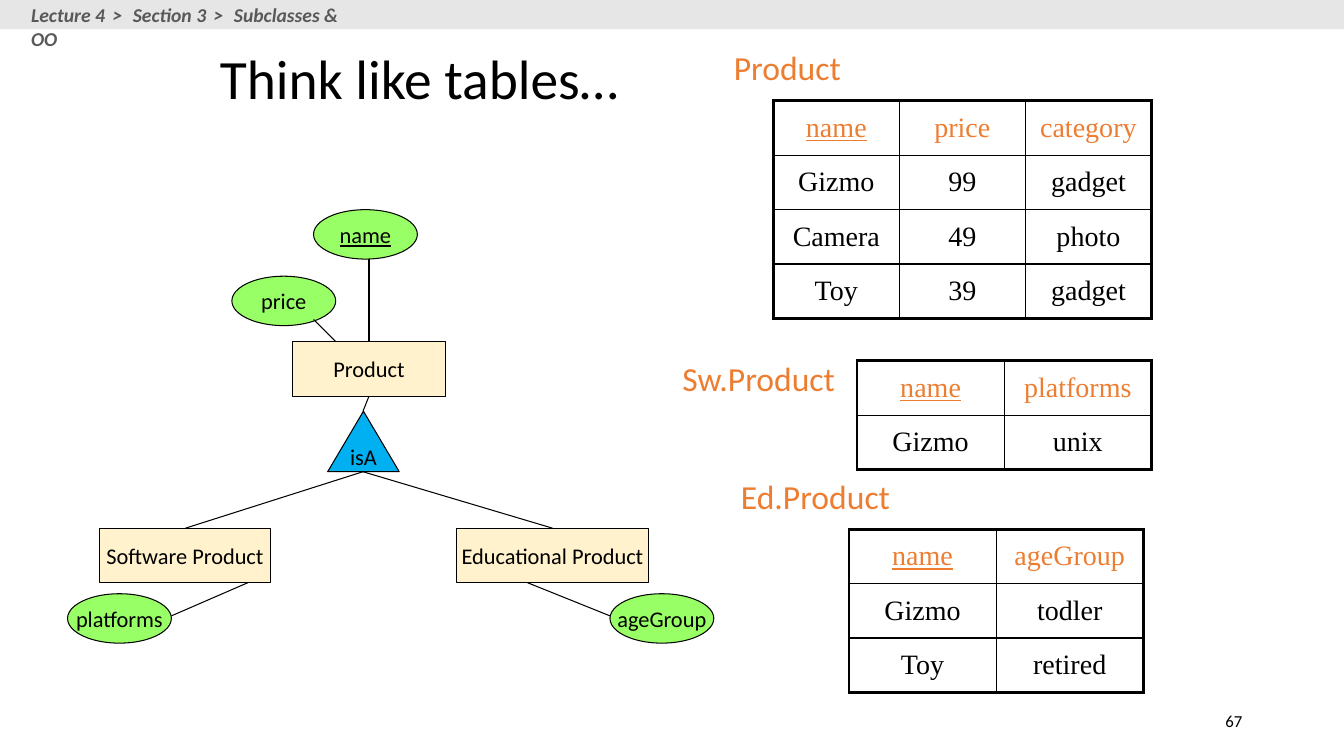
"""Builds a slide that maps a product class hierarchy to tables."""
from dataclasses import dataclass

from lxml.etree import SubElement
from pptx import Presentation
from pptx.dml.color import RGBColor
from pptx.enum.shapes import MSO_CONNECTOR, MSO_SHAPE
from pptx.enum.text import MSO_ANCHOR, MSO_AUTO_SIZE, PP_ALIGN
from pptx.oxml.ns import qn
from pptx.util import Inches, Pt


@dataclass(frozen=True)
class Theme:
    sans: str = "Calibri"
    serif: str = "Times New Roman"
    black: str = "000000"
    accent: str = "ED7D31"
    entity: str = "FFF2CC"
    attribute: str = "99FF66"
    relation: str = "00B0F0"
    strip: str = "E7E6E6"
    muted: str = "595959"
    title_size: float = 39.6
    label_size: float = 24
    cell_size: float = 20
    node_size: float = 16
    path_size: float = 14
    number_size: float = 12
    thin: float = 0.75
    inner: float = 1
    outer: float = 2.25
    separator_spacing: int = 210


class SlideBuilder:
    def __init__(self, presentation, theme):
        self.theme = theme
        self.slide = presentation.slides.add_slide(presentation.slide_layouts[5])
        self.shapes = self.slide.shapes

    def format(self, paragraph, size, color=None, name=None, align=PP_ALIGN.LEFT, underline=False):
        paragraph.alignment = align
        font = paragraph.font
        font.name = name or self.theme.sans
        font.size = Pt(size)
        font.color.rgb = RGBColor.from_string(color or self.theme.black)
        font.underline = underline

    def title(self, text, box):
        title = self.shapes.title
        title.left, title.top, title.width, title.height = map(Inches, box)
        frame = title.text_frame
        frame.text = text
        frame.auto_size = MSO_AUTO_SIZE.NONE
        frame.vertical_anchor = MSO_ANCHOR.MIDDLE
        frame.margin_top = Inches(0.25)
        paragraph = frame.paragraphs[0]
        paragraph.line_spacing = 0.9
        self.format(paragraph, self.theme.title_size)

    def text(self, text, box, size, color=None, align=PP_ALIGN.LEFT, wrap=False, anchor=MSO_ANCHOR.TOP):
        frame = self.shapes.add_textbox(*map(Inches, box)).text_frame
        frame.word_wrap = wrap
        frame.vertical_anchor = anchor
        paragraph = frame.paragraphs[0]
        paragraph.text = text
        self.format(paragraph, size, color, align=align)
        return paragraph

    def breadcrumb(self, steps, box):
        paragraph = self.text("", box, self.theme.path_size, self.theme.muted, wrap=True)
        paragraph.font.bold = paragraph.font.italic = True
        for index, step in enumerate(steps):
            if index:
                separator = paragraph.add_run()
                separator.text = " > "
                separator._r.get_or_add_rPr().set("spc", str(self.theme.separator_spacing))
            paragraph.add_run().text = step

    def shape(self, kind, box, fill):
        shape = self.shapes.add_shape(kind, *map(Inches, box))
        shape.shadow.inherit = False
        shape.fill.solid()
        shape.fill.fore_color.rgb = RGBColor.from_string(fill)
        shape.line.fill.background()
        return shape

    def node(self, kind, text, box, fill, underline=False):
        shape = self.shape(kind, box, fill)
        shape.line.color.rgb = RGBColor.from_string(self.theme.black)
        shape.line.width = Pt(self.theme.thin)
        frame = shape.text_frame
        frame.text = text
        frame.word_wrap = False
        frame.vertical_anchor = MSO_ANCHOR.MIDDLE
        self.format(frame.paragraphs[0], self.theme.node_size, align=PP_ALIGN.CENTER, underline=underline)

    def entity(self, text, left, top, width):
        self.node(MSO_SHAPE.RECTANGLE, text, (left, top, width, 0.54), self.theme.entity)

    def attribute(self, text, left, top, key=False):
        self.node(MSO_SHAPE.OVAL, text, (left, top, 1.03, 0.49), self.theme.attribute, key)

    def link(self, start, end):
        connector = self.shapes.add_connector(MSO_CONNECTOR.STRAIGHT, *map(Inches, start + end))
        connector.line.color.rgb = RGBColor.from_string(self.theme.black)
        connector.line.width = Pt(self.theme.thin)
        SubElement(connector._element.spPr, qn("a:effectLst"))

    def border(self, cell, side, width):
        line = SubElement(cell._tc.get_or_add_tcPr(), qn(f"a:ln{side}"), w=str(Pt(width)))
        fill = SubElement(line, qn("a:solidFill"))
        SubElement(fill, qn("a:srgbClr"), val=self.theme.black)

    def table(self, rows, left, top, column_width, row_height=0.54):
        last_row, last_column = len(rows) - 1, len(rows[0]) - 1
        size = (column_width * len(rows[0]), row_height * len(rows))
        table = self.shapes.add_table(len(rows), len(rows[0]), *map(Inches, (left, top) + size)).table
        table.first_row = table.horz_banding = False
        for r, row in enumerate(rows):
            for c, text in enumerate(row):
                cell = table.cell(r, c)
                edges = {"L": c == 0, "R": c == last_column, "T": r == 0, "B": r == last_row}
                for side, is_outer in edges.items():
                    self.border(cell, side, self.theme.outer if is_outer else self.theme.inner)
                cell.fill.background()
                cell.vertical_anchor = MSO_ANCHOR.MIDDLE
                cell.text = text
                color = self.theme.black if r else self.theme.accent
                self.format(cell.text_frame.paragraphs[0], self.theme.cell_size, color,
                            self.theme.serif, PP_ALIGN.CENTER, r == c == 0)


def main():
    presentation = Presentation()
    presentation.slide_width, presentation.slide_height = Inches(13.33), Inches(7.5)
    theme = Theme()
    builder = SlideBuilder(presentation, theme)

    builder.text("67", (9.42, 6.95, 3, 0.4), theme.number_size,
                 align=PP_ALIGN.RIGHT, wrap=True, anchor=MSO_ANCHOR.MIDDLE)
    builder.title("Think like tables…", (2.08, 0.17, 5.25, 1.08))

    builder.entity("Product", 2.9, 3.39, 1.52)
    builder.entity("Educational Product", 4.53, 5.24, 1.9)
    builder.entity("Software Product", 0.99, 5.24, 1.69)
    builder.attribute("name", 3.11, 2.08, key=True)
    builder.attribute("price", 2.3, 2.74)
    builder.attribute("ageGroup", 6.05, 5.89)
    builder.attribute("platforms", 0.67, 5.89)
    builder.node(MSO_SHAPE.ISOSCELES_TRIANGLE, "isA", (3.25, 4.08, 0.71, 0.6), theme.relation)

    for start, end in (
        ((3.33, 3.39), (3.11, 3.17)),
        ((3.66, 3.39), (3.66, 2.57)),
        ((2.46, 5.78), (1.7, 6.11)),
        ((5.23, 5.78), (6.05, 6.11)),
        ((1.84, 5.24), (3.6, 4.68)),
        ((5.48, 5.24), (3.6, 4.68)),
        ((3.6, 4.08), (3.66, 3.93)),
    ):
        builder.link(start, end)

    products = [("name", "price", "category"), ("Gizmo", "99", "gadget"),
                ("Camera", "49", "photo"), ("Toy", "39", "gadget")]
    software = [("name", "platforms"), ("Gizmo", "unix")]
    educational = [("name", "ageGroup"), ("Gizmo", "todler"), ("Toy", "retired")]
    builder.table(products, 7.67, 1, 1.25)
    builder.table(software, 8.5, 3.58, 1.46)
    builder.table(educational, 8.42, 5.25, 1.46)

    for text, left, top, width in (("Product", 7.18, 0.42, 1.27), ("Sw.Product", 6.67, 3.5, 1.75),
                                   ("Ed.Product", 7.25, 4.67, 1.69)):
        builder.text(text, (left, top, width, 0.5), theme.label_size, theme.accent)

    builder.shape(MSO_SHAPE.RECTANGLE, (0, 0, 13.33, 0.29), theme.strip)
    builder.breadcrumb(("Lecture 4", "Section 3", "Subclasses & OO"), (0.21, -0.02, 3.49, 0.34))
    presentation.save("out.pptx")


if __name__ == "__main__":
    main()
